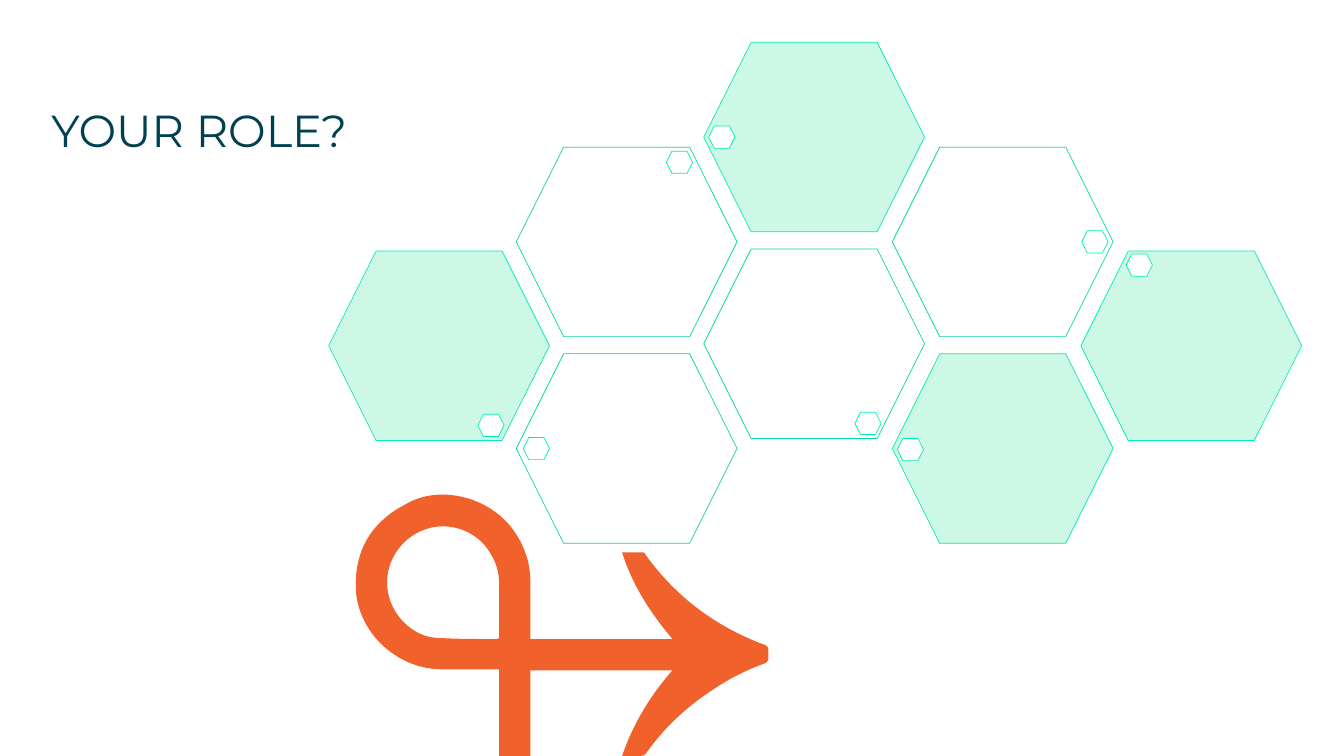
from lxml import etree
from pptx import Presentation
from pptx.dml.color import RGBColor
from pptx.enum import shapes, text
from pptx.oxml.ns import qn
from pptx.util import Inches, Pt

ORANGE = RGBColor(0xF1, 0x61, 0x2C)
NAVY = RGBColor(0x00, 0x40, 0x50)
WHITE = RGBColor(0xFF, 0xFF, 0xFF)
MINT = RGBColor(0xCC, 0xF8, 0xE5)
GREEN = RGBColor(0x00, 0xD7, 0xA4)
BRIGHT_GREEN = RGBColor(0x00, 0xED, 0xB5)

# Each step is a line end (x, y) or a cubic curve (two controls, then the end).
ARROW_LEFT, ARROW_TOP, ARROW_RIGHT, ARROW_BOTTOM = 3.53, 4.91, 7.62, 7.5
ARROW_OUTLINE = [
    (4.01, 5.01),
    (3.67, 5.19, 3.51, 5.48, 3.53, 5.86), (3.56, 6.29, 3.95, 6.64, 4.38, 6.64),
    (4.95, 6.64), (4.95, 7.5), (5.26, 7.5), (5.26, 6.65), (6.67, 6.65),
    (6.45, 6.9, 6.28, 7.18, 6.17, 7.5), (6.23, 7.5, 6.29, 7.5, 6.35, 7.5),
    (6.38, 7.5, 6.4, 7.49, 6.41, 7.47), (6.58, 7.23, 6.79, 7.03, 7.03, 6.87),
    (7.2, 6.75, 7.39, 6.65, 7.59, 6.58), (7.61, 6.57, 7.62, 6.55, 7.62, 6.54),
    (7.62, 6.5, 7.62, 6.47, 7.62, 6.44), (7.62, 6.42, 7.61, 6.41, 7.59, 6.4),
    (7.1, 6.22, 6.7, 5.92, 6.4, 5.5), (6.4, 5.49, 6.39, 5.48, 6.38, 5.48),
    (6.31, 5.48, 6.24, 5.48, 6.17, 5.48), (6.27, 5.8, 6.45, 6.08, 6.67, 6.34),
    (5.26, 6.34), (5.26, 6.3), (5.26, 6.12, 5.26, 5.94, 5.26, 5.76),
    (5.26, 5.7, 5.25, 5.64, 5.24, 5.58), (5.16, 5.27, 4.96, 5.05, 4.66, 4.95),
    (4.43, 4.88, 4.21, 4.89, 4.01, 5.01),
]
ARROW_LOOP = [
    (4.87, 5.5), (4.92, 5.58, 4.95, 5.68, 4.95, 5.78),
    (4.95, 5.95, 4.95, 6.12, 4.95, 6.29), (4.95, 6.33),
    (4.94, 6.33, 4.94, 6.34, 4.93, 6.34), (4.75, 6.34, 4.56, 6.34, 4.37, 6.33),
    (4.2, 6.33, 4.06, 6.25, 3.95, 6.11), (3.69, 5.75, 3.92, 5.3, 4.3, 5.23),
    (4.53, 5.19, 4.76, 5.3, 4.87, 5.5),
]

# Tile left and top, tinted or not, then left and top of its small marker
TILES = [
    (5.12, 3.51, False, 5.19, 4.34),
    (3.26, 2.49, True, 4.74, 4.11),
    (6.98, 2.47, False, 8.48, 4.09),
    (8.85, 3.51, True, 8.9, 4.35),
    (5.12, 1.46, False, 6.61, 1.5),
    (6.98, 0.42, True, 7.03, 1.25),
    (8.85, 1.46, False, 10.73, 2.29),
    (10.72, 2.49, True, 11.17, 2.52),
]


def add_contour(outline, contour):
    """Append a closed contour of lines and cubic curves to an a:path element."""
    for i, step in enumerate(contour):
        tag = "a:moveTo" if i == 0 else "a:lnTo" if len(step) == 2 else "a:cubicBezTo"
        command = etree.SubElement(outline, qn(tag))
        for x, y in zip(step[::2], step[1::2]):
            etree.SubElement(command, qn("a:pt"),
                             x=str(Inches(x - ARROW_LEFT)), y=str(Inches(y - ARROW_TOP)))
    etree.SubElement(outline, qn("a:close"))


def add_hexagon(left, top, width, height, fill, line):
    hexagon = slide.shapes.add_shape(
        shapes.MSO_SHAPE.HEXAGON,
        Inches(left), Inches(top), Inches(width), Inches(height))
    hexagon.shadow.inherit = False
    hexagon.fill.solid()
    hexagon.fill.fore_color.rgb = fill
    hexagon.line.color.rgb = line
    hexagon.line.width = Pt(0.5)


prs = Presentation()
prs.slide_width = Inches(13.33)
prs.slide_height = Inches(7.5)
slide = prs.slides.add_slide(prs.slide_layouts[5])

# The frame sets the arrow's extent; its outline is then drawn with true curves.
frame = slide.shapes.build_freeform(Inches(ARROW_LEFT), Inches(ARROW_TOP))
frame.add_line_segments([(Inches(ARROW_RIGHT), Inches(ARROW_BOTTOM))], close=True)
arrow = frame.convert_to_shape()
arrow.shadow.inherit = False
arrow.fill.solid()
arrow.fill.fore_color.rgb = ORANGE
arrow.line.fill.background()
arrow_outline = next(arrow.element.iter(qn("a:path")))
for command in list(arrow_outline):
    arrow_outline.remove(command)
for contour in (ARROW_OUTLINE, ARROW_LOOP):
    add_contour(arrow_outline, contour)

title = slide.shapes.title
title.left, title.top = Inches(0.41), Inches(0.74)
title.width, title.height = Inches(6.72), Inches(1.15)
title.text_frame.text = "YOUR ROLE?"
title.text_frame.vertical_anchor = text.MSO_ANCHOR.MIDDLE
heading = title.text_frame.paragraphs[0]
heading.alignment = text.PP_ALIGN.LEFT
heading.line_spacing = 0.9
heading.font.name = "Montserrat"
heading.font.size = Pt(32)
heading.font.color.rgb = NAVY

for left, top, tinted, marker_left, marker_top in TILES:
    add_hexagon(left, top, 2.19, 1.88,
                MINT if tinted else WHITE,
                BRIGHT_GREEN if tinted else GREEN)
    add_hexagon(marker_left, marker_top, 0.26, 0.22, WHITE, BRIGHT_GREEN)

prs.save("out.pptx")
